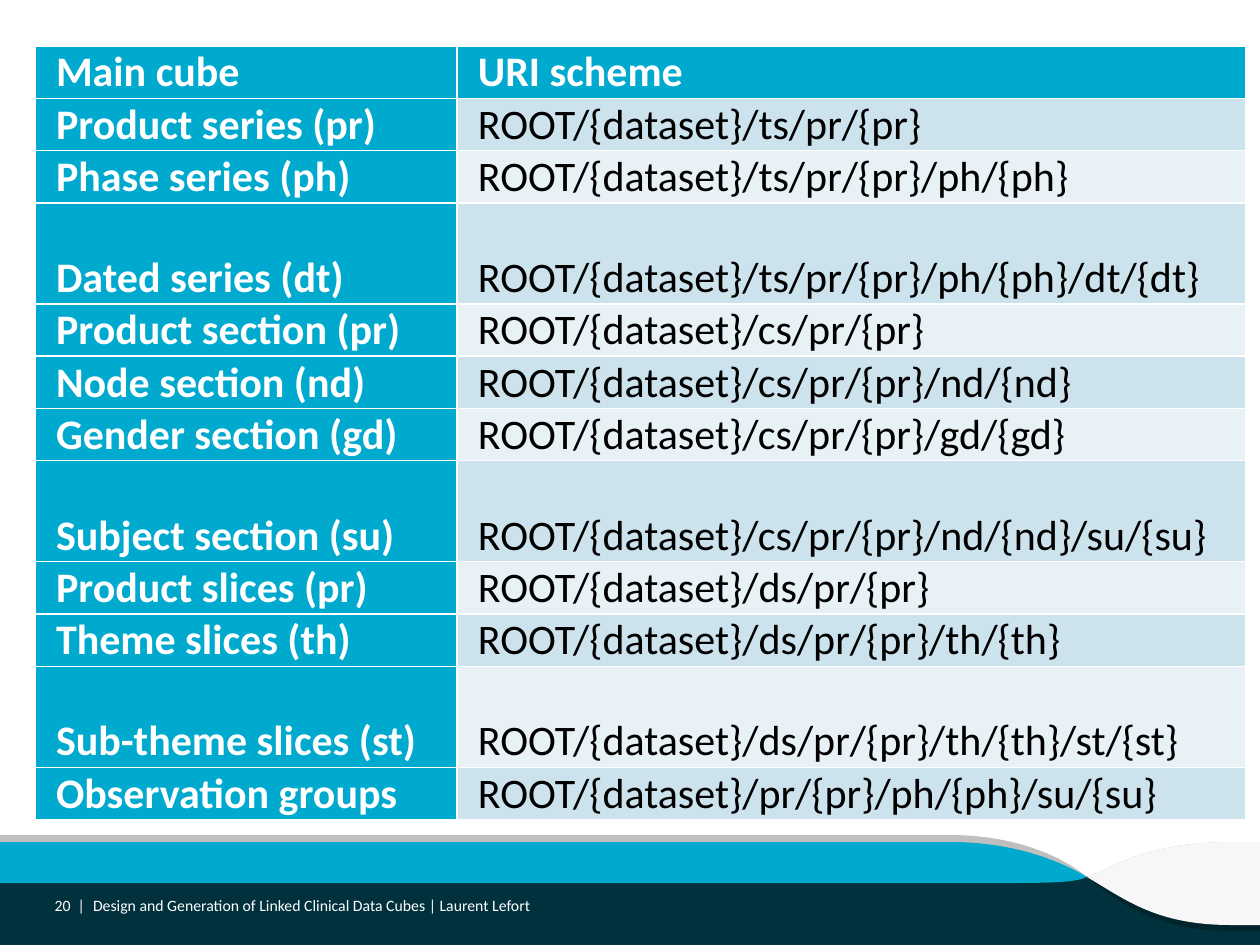
"""Build the slide listing the URI scheme of each main cube."""
from lxml import etree
from pptx import Presentation
from pptx.dml.color import RGBColor
from pptx.enum.shapes import MSO_SHAPE
from pptx.enum.text import MSO_ANCHOR, PP_ALIGN
from pptx.oxml.ns import qn
from pptx.util import Emu, Pt

RECTANGLE = MSO_SHAPE.RECTANGLE
BOTTOM, MIDDLE = MSO_ANCHOR.BOTTOM, MSO_ANCHOR.MIDDLE
LEFT, RIGHT = PP_ALIGN.LEFT, PP_ALIGN.RIGHT

WHITE = RGBColor(0xFF, 0xFF, 0xFF)
BLACK = RGBColor(0x00, 0x00, 0x00)
CYAN = RGBColor(0x00, 0xA9, 0xCE)
NAVY = RGBColor(0x00, 0x31, 0x3C)
DARK_NAVY = RGBColor(0x00, 0x25, 0x2D)
GREY = RGBColor(0xBF, 0xBF, 0xBF)
PALE_GREY = RGBColor(0xF7, 0xF7, 0xF7)
BANDS = (RGBColor(0xE7, 0xF1, 0xF6), RGBColor(0xCC, 0xE2, 0xED))

FONT = "Calibri"
PX_PER_INCH = 126
SLIDE_SIZE = (1260, 945)

ROWS = [
    ("Main cube", "URI scheme"),
    ("Product series (pr)", "ROOT/{dataset}/ts/pr/{pr}"),
    ("Phase series (ph)", "ROOT/{dataset}/ts/pr/{pr}/ph/{ph}"),
    ("Dated series (dt)", "ROOT/{dataset}/ts/pr/{pr}/ph/{ph}/dt/{dt}"),
    ("Product section (pr)", "ROOT/{dataset}/cs/pr/{pr}"),
    ("Node section (nd)", "ROOT/{dataset}/cs/pr/{pr}/nd/{nd}"),
    ("Gender section (gd)", "ROOT/{dataset}/cs/pr/{pr}/gd/{gd}"),
    ("Subject section (su)", "ROOT/{dataset}/cs/pr/{pr}/nd/{nd}/su/{su}"),
    ("Product slices (pr)", "ROOT/{dataset}/ds/pr/{pr}"),
    ("Theme slices (th)", "ROOT/{dataset}/ds/pr/{pr}/th/{th}"),
    ("Sub-theme slices (st)", "ROOT/{dataset}/ds/pr/{pr}/th/{th}/st/{st}"),
    ("Observation groups", "ROOT/{dataset}/pr/{pr}/ph/{ph}/su/{su}"),
]
TABLE_LEFT, TABLE_TOP, TABLE_HEIGHT = 35, 46, 774
COLUMN_WIDTHS = (422, 789)
TALL_ROWS, TALL_ROW_HEIGHT = (3, 7, 10), 101
ROW_HEIGHT = (TABLE_HEIGHT - len(TALL_ROWS) * TALL_ROW_HEIGHT) / (len(ROWS) - len(TALL_ROWS))

FOOTER_BAR = (0, 877, 1260, 68)
# Contours hold points (x, y) and cubic curves (x1, y1, x2, y2, x, y).
WAVES = [
    (GREY, [
        [(1260, 842), (1232, 842), (1144, 842, 1113, 868, 1087, 877), (1260, 877), (1260, 931)],
        [(950, 835), (0, 835), (0, 877), (1087, 877), (1058, 853, 1009, 835, 950, 835)],
    ]),
    (DARK_NAVY, [
        [(1087, 877), (0, 877), (0, 883), (1002, 883), (1058, 883, 1076, 882, 1087, 877)],
        [(1260, 877), (1087, 877), (1118, 902, 1157, 931, 1231, 931), (1260, 931)],
    ]),
    (CYAN, [
        [(1087, 877), (1055, 858, 1009, 842, 950, 842), (0, 842), (0, 883),
         (1002, 883), (1058, 883, 1076, 882, 1087, 877)],
    ]),
    (PALE_GREY, [
        [(1232, 842), (1144, 842, 1113, 868, 1087, 877),
         (1126, 900, 1157, 925, 1231, 925), (1260, 925), (1260, 842)],
    ]),
]
FOOTERS = [
    ("Design and Generation of Linked Clinical Data Cubes | Laurent Lefort",
     (93, 896, 838, 18), LEFT),
    ("20  |", (45, 896, 40, 18), RIGHT),
]


def px(length):
    return Emu(round(length * 914400 / PX_PER_INCH))


def write_text(frame, text, size=9, color=WHITE, bold=False, align=LEFT, spacing=None, indent=0):
    paragraph = frame.paragraphs[0]
    paragraph.alignment = align
    if spacing:
        paragraph.line_spacing = Pt(spacing)
    if indent:
        properties = paragraph._p.get_or_add_pPr()
        properties.set("marL", "0")
        properties.set("indent", str(px(indent)))
    run = paragraph.add_run()
    run.text = text
    run.font.name = FONT
    run.font.size = Pt(size)
    run.font.bold = bold
    run.font.color.rgb = color


def paint(shape, color):
    shape.shadow.inherit = False
    shape.fill.solid()
    shape.fill.fore_color.rgb = color
    shape.line.fill.background()


def segment_points(segment):
    return [(px(x), px(y)) for x, y in zip(segment[::2], segment[1::2])]


def add_wave(slide, color, contours):
    builder = slide.shapes.build_freeform(*segment_points(contours[0][0])[0])
    for index, (start, *segments) in enumerate(contours):
        if index:
            builder.move_to(*segment_points(start)[0])
        for segment in segments:
            builder.add_line_segments(segment_points(segment), close=False)
    shape = builder.convert_to_shape()
    lines = iter(list(shape._element.iter(qn("a:lnTo"))))
    for _, *segments in contours:
        for segment in segments:
            vertices = [next(lines) for _ in segment[::2]]
            if len(vertices) == 3:
                curve = etree.Element(qn("a:cubicBezTo"))
                vertices[0].addprevious(curve)
                for vertex in vertices:
                    curve.append(vertex[0])
                    vertex.getparent().remove(vertex)
    paint(shape, color)


def add_cube_table(slide):
    table = slide.shapes.add_table(
        len(ROWS), len(COLUMN_WIDTHS), px(TABLE_LEFT), px(TABLE_TOP),
        px(sum(COLUMN_WIDTHS)), px(TABLE_HEIGHT)).table
    table.first_col = True
    for column, width in zip(table.columns, COLUMN_WIDTHS):
        column.width = px(width)
    for row_index, row in enumerate(table.rows):
        row.height = px(TALL_ROW_HEIGHT if row_index in TALL_ROWS else ROW_HEIGHT)
        for column_index, text in enumerate(ROWS[row_index]):
            cell = table.cell(row_index, column_index)
            heading = row_index == 0 or column_index == 0
            cell.margin_left = cell.margin_right = cell.margin_top = px(1)
            cell.margin_bottom = 0
            cell.vertical_anchor = BOTTOM
            cell.fill.solid()
            cell.fill.fore_color.rgb = CYAN if heading else BANDS[row_index % 2]
            write_text(cell.text_frame, text, size=24, color=WHITE if heading else BLACK,
                       bold=heading, spacing=12.8, indent=20)


def add_footer(slide, text, box, align):
    frame = slide.shapes.add_textbox(*map(px, box)).text_frame
    frame.margin_left = frame.margin_right = frame.margin_top = frame.margin_bottom = 0
    frame.word_wrap = True
    frame.vertical_anchor = MIDDLE
    write_text(frame, text, align=align)


def main():
    presentation = Presentation()
    presentation.slide_width, presentation.slide_height = map(px, SLIDE_SIZE)
    slide = presentation.slides.add_slide(presentation.slide_layouts[6])
    paint(slide.shapes.add_shape(RECTANGLE, *map(px, FOOTER_BAR)), NAVY)
    for color, contours in WAVES:
        add_wave(slide, color, contours)
    add_cube_table(slide)
    for text, box, align in FOOTERS:
        add_footer(slide, text, box, align)
    presentation.save("out.pptx")


if __name__ == "__main__":
    main()
